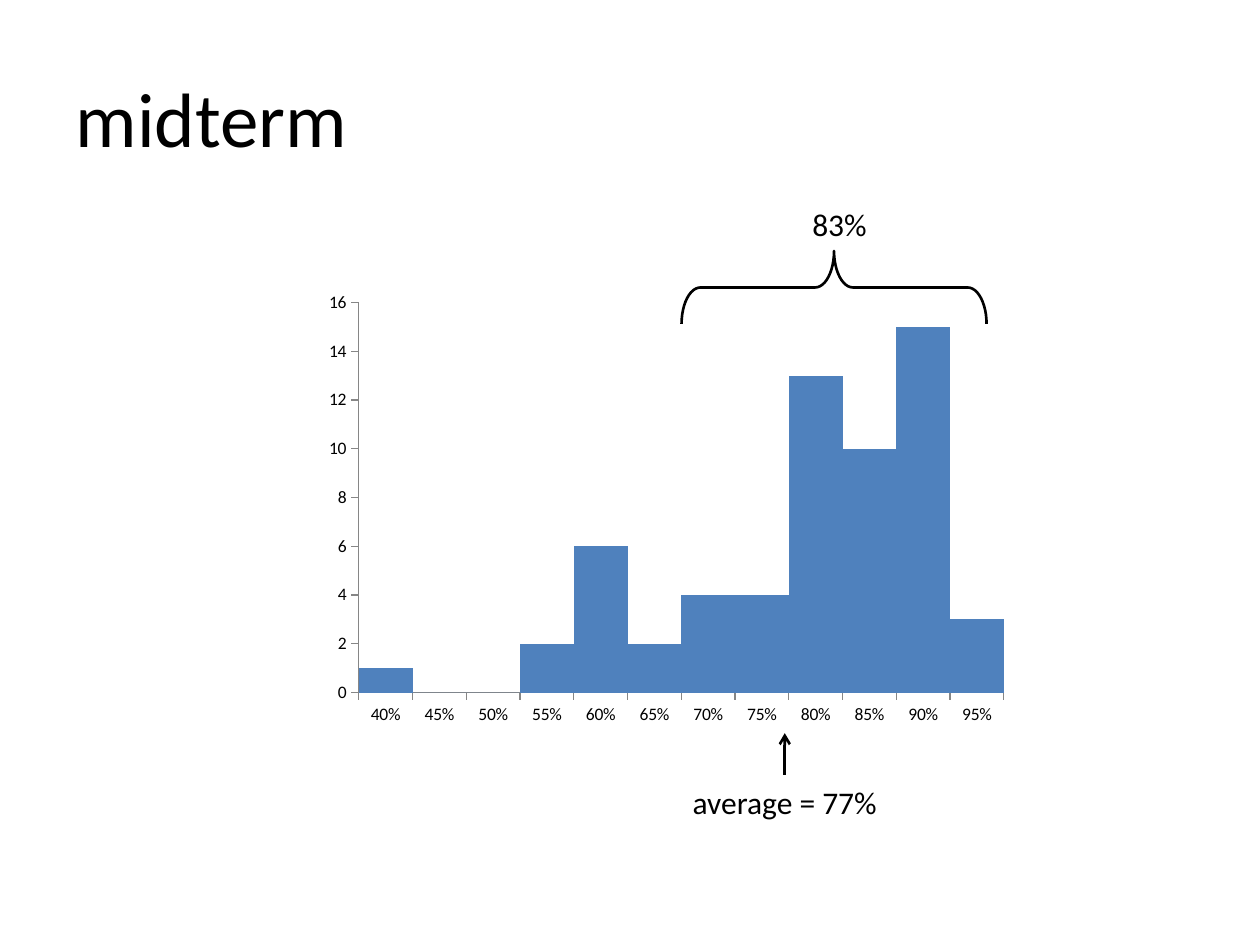
from dataclasses import dataclass
from lxml import etree
from pptx import Presentation as Deck
from pptx.chart.data import CategoryChartData as Data
from pptx.dml.color import RGBColor as Rgb
from pptx.enum.chart import XL_CHART_TYPE as Kind, XL_TICK_MARK as Tick
from pptx.enum.shapes import MSO_CONNECTOR as Conn, MSO_SHAPE as Form
from pptx.enum.text import MSO_ANCHOR as Anchor, MSO_AUTO_SIZE as Fit, PP_ALIGN as Align
from pptx.oxml.ns import qn
from pptx.util import Cm, Pt


@dataclass(frozen=True)
class Theme:
    font: str = "Calibri"
    ink: Rgb = Rgb(0, 0, 0)
    axis: Rgb = Rgb(0x86, 0x86, 0x86)
    bar: Rgb = Rgb(0x4F, 0x81, 0xBD)
    title: Pt = Pt(44)
    note: Pt = Pt(18)
    label: Pt = Pt(10)
    line: Pt = Pt(1.5)
    thin: Pt = Pt(0.75)


class Page:
    def __init__(self, slide, theme):
        self.shapes = slide.shapes
        self.theme = theme

    def style(self, font, size):
        font.name = self.theme.font
        font.size = size
        font.color.rgb = self.theme.ink

    def text(self, frame, words, size, align):
        para = frame.paragraphs[0]
        para.alignment = align
        run = para.add_run()
        run.text = words
        self.style(run.font, size)

    def title(self, words, *box):
        head = self.shapes.title
        head.left, head.top, head.width, head.height = map(Cm, box)
        head.text_frame.vertical_anchor = Anchor.MIDDLE
        self.text(head.text_frame, words, self.theme.title, Align.LEFT)

    def note(self, words, *box):
        frame = self.shapes.add_textbox(*map(Cm, box)).text_frame
        frame.word_wrap = True
        frame.auto_size = Fit.SHAPE_TO_FIT_TEXT
        self.text(frame, words, self.theme.note, Align.CENTER)

    def stroke(self, line):
        line.color.rgb = self.theme.ink
        line.width = self.theme.line

    def brace(self, *box):
        brace = self.shapes.add_shape(Form.RIGHT_BRACE, *map(Cm, box))
        brace.rotation = 270
        brace.adjustments[0] = 0.26
        brace.shadow.inherit = False
        brace.fill.background()
        self.stroke(brace.line)

    def arrow(self, *ends):
        arrow = self.shapes.add_connector(Conn.STRAIGHT, *map(Cm, ends))
        self.stroke(arrow.line)
        props = arrow.element.spPr
        etree.SubElement(props.find(qn("a:ln")), qn("a:tailEnd"), type="arrow")
        etree.SubElement(props, qn("a:effectLst"))

    def chart(self, marks, counts, *box):
        data = Data()
        data.categories = marks
        data.categories.number_format = "0%"
        data.add_series("Series 1", counts)
        chart = self.shapes.add_chart(Kind.COLUMN_CLUSTERED, *map(Cm, box), data).chart
        self.style(chart.font, self.theme.label)
        chart.has_legend = False
        chart.has_title = False
        plot = chart.plots[0]
        plot.gap_width = 0
        plot.vary_by_categories = False
        fill = plot.series[0].format.fill
        fill.solid()
        fill.fore_color.rgb = self.theme.bar
        for axis, form in ((chart.category_axis, "0%"), (chart.value_axis, "General")):
            axis.has_major_gridlines = False
            axis.major_tick_mark = Tick.OUTSIDE
            axis.minor_tick_mark = Tick.NONE
            axis.tick_labels.number_format = form
            axis.tick_labels.number_format_is_linked = False
            axis.format.line.color.rgb = self.theme.axis
            axis.format.line.width = self.theme.thin
        chart.value_axis.minimum_scale = 0
        chart.value_axis.maximum_scale = 16
        chart.value_axis.major_unit = 2


def main():
    deck = Deck()
    deck.slide_width, deck.slide_height = Cm(25.4), Cm(19.05)
    page = Page(deck.slides.add_slide(deck.slide_layouts[5]), Theme())
    marks = [step / 100 for step in range(40, 100, 5)]
    counts = (1, 0, 0, 2, 6, 2, 4, 4, 13, 10, 15, 3)
    page.chart(marks, counts, 6.35, 5.72, 14.17, 9.07)
    page.title("midterm", 1.27, 0.76, 22.86, 3.18)
    page.brace(16.08, 2.72, 1.47, 6.15)
    page.note("83%", 15.44, 4.01, 2.97, 1.03)
    page.arrow(15.82, 15.62, 15.82, 14.78)
    page.note("average = 77%", 13.23, 15.67, 5.18, 1.03)
    deck.save("out.pptx")


if __name__ == "__main__":
    main()
